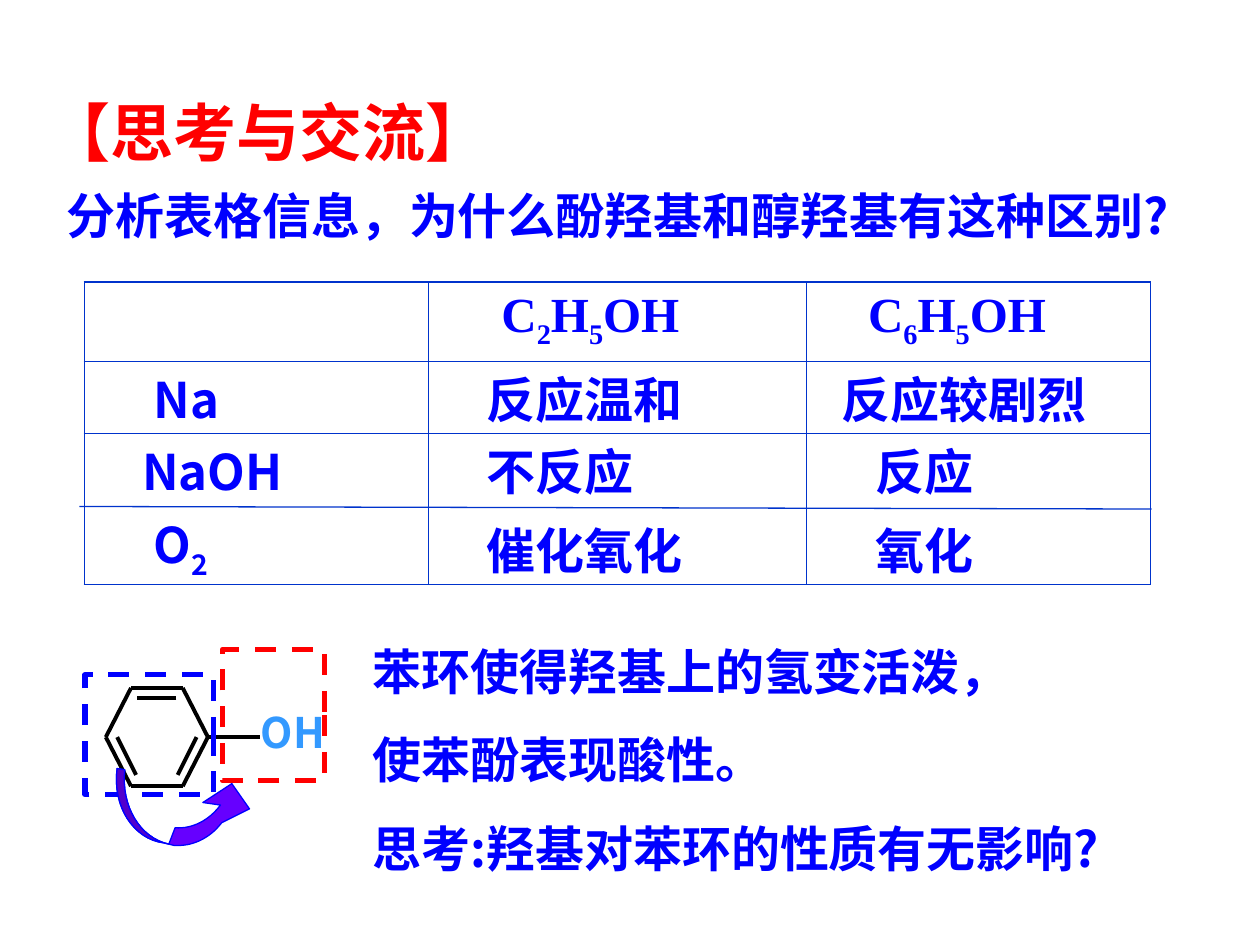
"""Build the slide comparing the hydroxyl groups of phenol and ethanol."""
import dataclasses
import itertools

import lxml.etree
import pptx
import pptx.dml.color
import pptx.enum.dml
import pptx.enum.shapes
import pptx.enum.text
import pptx.oxml.ns
import pptx.util

COLORS = {
    "blue": "0000FF", "red": "FF0000", "border": "0033CC", "black": "000000",
    "sky": "3399FF", "violet": "6600FF", "shade": "5200CC",
}
SANS = "Noto Sans CJK SC"
SERIF = "Times New Roman"
COLUMNS, ROWS = 1000, 750

deck = pptx.Presentation()
deck.slide_width = pptx.util.Inches(10)
deck.slide_height = pptx.util.Inches(7.5)
page = deck.slides.add_slide(deck.slide_layouts[6])

Point = tuple[float, float]


@dataclasses.dataclass
class Caption:
    area: tuple[int, int, int, int]
    lines: list[str]
    size: int
    color: str = "blue"
    inset: tuple[int, int] = (10, 5)
    spacing: float = 1.0
    wrap: bool = True


@dataclasses.dataclass
class Entry:
    row: int
    column: int
    lines: list[tuple[str, int]]
    font: str = SANS


@dataclasses.dataclass
class Frame:
    area: tuple[int, int, int, int]
    color: str


def across(columns: float) -> int:
    return round(deck.slide_width * columns / COLUMNS)


def down(rows: float) -> int:
    return round(deck.slide_height * rows / ROWS)


def place(area: tuple[int, int, int, int]) -> tuple[int, int, int, int]:
    left, top, width, height = area
    return across(left), down(top), across(width), down(height)


def rgb(name: str) -> pptx.dml.color.RGBColor:
    return pptx.dml.color.RGBColor.from_string(COLORS[name])


def add_tag(parent, name: str, **attributes: str):
    return lxml.etree.SubElement(parent, pptx.oxml.ns.qn(name), attributes)


def apply(target, values: dict) -> None:
    for name, value in values.items():
        setattr(target, name, value)


def write(para, text: str, size: int, color: str, font: str = SANS) -> None:
    """Write text with its digits as subscripts."""
    for lowered, letters in itertools.groupby(text, str.isdigit):
        span = para.add_run()
        span.text = "".join(letters)
        apply(span.font, {"name": font, "size": pptx.util.Pt(size), "bold": True})
        span.font.color.rgb = rgb(color)
        properties = span._r.get_or_add_rPr()
        add_tag(properties, "a:ea", typeface=font)
        if lowered:
            properties.set("baseline", "-25000")


def draw_caption(caption: Caption) -> None:
    box = page.shapes.add_textbox(*place(caption.area))
    side, edge = across(caption.inset[0]), down(caption.inset[1])
    apply(box.text_frame, {
        "word_wrap": caption.wrap, "margin_left": side, "margin_right": side,
        "margin_top": edge, "margin_bottom": edge,
        "auto_size": pptx.enum.text.MSO_AUTO_SIZE.SHAPE_TO_FIT_TEXT,
    })
    for index, line in enumerate(caption.lines):
        para = box.text_frame.add_paragraph() if index else box.text_frame.paragraphs[0]
        para.line_spacing = caption.spacing
        write(para, line, caption.size, caption.color)


def draw_line(start: Point, end: Point, color: str, width: float) -> None:
    line = page.shapes.add_connector(
        pptx.enum.shapes.MSO_CONNECTOR.STRAIGHT,
        across(start[0]), down(start[1]), across(end[0]), down(end[1]))
    line.line.color.rgb = rgb(color)
    line.line.width = pptx.util.Pt(width)
    add_tag(line._element.spPr, "a:effectLst")


def draw_frame(frame: Frame) -> None:
    box = page.shapes.add_shape(pptx.enum.shapes.MSO_SHAPE.RECTANGLE, *place(frame.area))
    box.shadow.inherit = False
    box.rotation = 270
    box.fill.background()
    box.line.color.rgb = rgb(frame.color)
    apply(box.line, {"width": pptx.util.Pt(3),
                     "dash_style": pptx.enum.dml.MSO_LINE.DASH})


def curve(*points: Point, steps: int = 16) -> list[Point]:
    """Return points along a cubic curve."""
    weights = (1, 3, 3, 1)
    return [tuple(sum(weight * (1 - t) ** (3 - n) * t ** n * point[axis]
                      for n, (weight, point) in enumerate(zip(weights, points)))
                  for axis in (0, 1))
            for t in (step / steps for step in range(steps + 1))]


def draw_outline(points: list[Point], fill: str) -> None:
    spots = [(across(x), down(y)) for x, y in points]
    builder = page.shapes.build_freeform(*spots[0], scale=1.0)
    builder.add_line_segments(spots[1:], close=True)
    outline = builder.convert_to_shape()
    outline.shadow.inherit = False
    outline.fill.solid()
    outline.fill.fore_color.rgb = rgb(fill)
    outline.line.color.rgb = rgb("blue")
    outline.line.width = pptx.util.Pt(0.75)


def draw_table(widths: list[int], heights: list[int], entries: list[Entry]) -> None:
    table = page.shapes.add_table(
        len(heights), len(widths), *place((67, 224, sum(widths), sum(heights)))).table
    apply(table, {"first_row": False, "horz_banding": False})
    for column, width in zip(table.columns, widths):
        column.width = across(width)
    for row, height in zip(table.rows, heights):
        row.height = down(height)
    for entry in entries:
        cell = table.cell(entry.row, entry.column)
        tight = entry.row > 0
        apply(cell, {"margin_left": across(10), "margin_right": across(10),
                     "margin_top": down(9 if tight else 5), "margin_bottom": 0})
        for index, (text, indent) in enumerate(entry.lines):
            para = cell.text_frame.add_paragraph() if index else cell.text_frame.paragraphs[0]
            para._p.get_or_add_pPr().set("marL", str(across(indent)))
            if tight:
                para.line_spacing = pptx.util.Pt(34)
            if index:
                para.space_before = pptx.util.Pt(11.5)
            write(para, text, 28, "blue", entry.font)
    for row, column in itertools.product(range(len(heights)), range(len(widths))):
        cell = table.cell(row, column)
        outer = {"L": column == 0, "R": column == len(widths) - 1,
                 "T": row == 0, "B": row == len(heights) - 1}
        for side, thick in outer.items():
            width = pptx.util.Pt(1.08 if thick else 0.45)
            edge = add_tag(cell._tc.get_or_add_tcPr(), f"a:ln{side}", w=str(width))
            add_tag(add_tag(edge, "a:solidFill"), "a:srgbClr", val=COLORS["border"])
        cell.fill.background()


draw_caption(Caption((43, 142, 922, 57), ["分析表格信息，为什么酚羟基和醇羟基有这种区别?"], 28))
draw_table([273, 300, 273], [63, 57, 120], [
    Entry(0, 1, [("C2H5OH", 48)], SERIF),
    Entry(0, 2, [("C6H5OH", 39)], SERIF),
    Entry(1, 0, [("Na", 45)]),
    Entry(1, 1, [("反应温和", 36)]),
    Entry(1, 2, [("反应较剧烈", 18)]),
    Entry(2, 0, [("NaOH", 36), ("O2", 45)]),
    Entry(2, 1, [("不反应", 36), ("催化氧化", 36)]),
    Entry(2, 2, [("反应", 45), ("氧化", 45)]),
])
draw_line((63, 402), (914, 404), "border", 0.75)

ring = [(84, 585), (104, 624), (145, 624), (165, 585), (145, 546), (104, 546)]
double_bonds = [((93, 585), (108, 615)), ((141, 615), (156, 585)), ((140, 554), (109, 554))]
hydroxyl_bond = ((165, 585), (206, 585))
for bond in [*zip(ring, ring[1:] + ring[:1]), *double_bonds, hydroxyl_bond]:
    draw_line(*bond, "black", 2.25)
draw_caption(Caption((207, 561, 57, 40), ["OH"], 24, "sky", (0, 0), wrap=False))
draw_frame(Frame((71, 532, 95, 102), "blue"))

outer_arc = curve((93, 610), (89, 640), (106, 666), (130, 669))
inner_arc = curve((134, 670), (111, 665), (96, 640), (99, 611))
arrow_head = [(198, 642), (184, 622), (161, 637)]
draw_outline(outer_arc + curve((138, 671), (152, 672), (166, 666), (176, 653)) + arrow_head
             + curve((175, 639), (166, 651), (153, 658), (139, 657)) + inner_arc, "violet")
draw_outline(outer_arc + inner_arc, "shade")
draw_frame(Frame((165, 527, 104, 81), "red"))

draw_caption(Caption((286, 481, 677, 220), [
    "苯环使得羟基上的氢变活泼，", "使苯酚表现酸性。", "思考:羟基对苯环的性质有无影响?"], 28, spacing=1.5))
draw_caption(Caption((28, 69, 391, 70), ["【思考与交流】"], 36, "red"))
deck.save("out.pptx")
